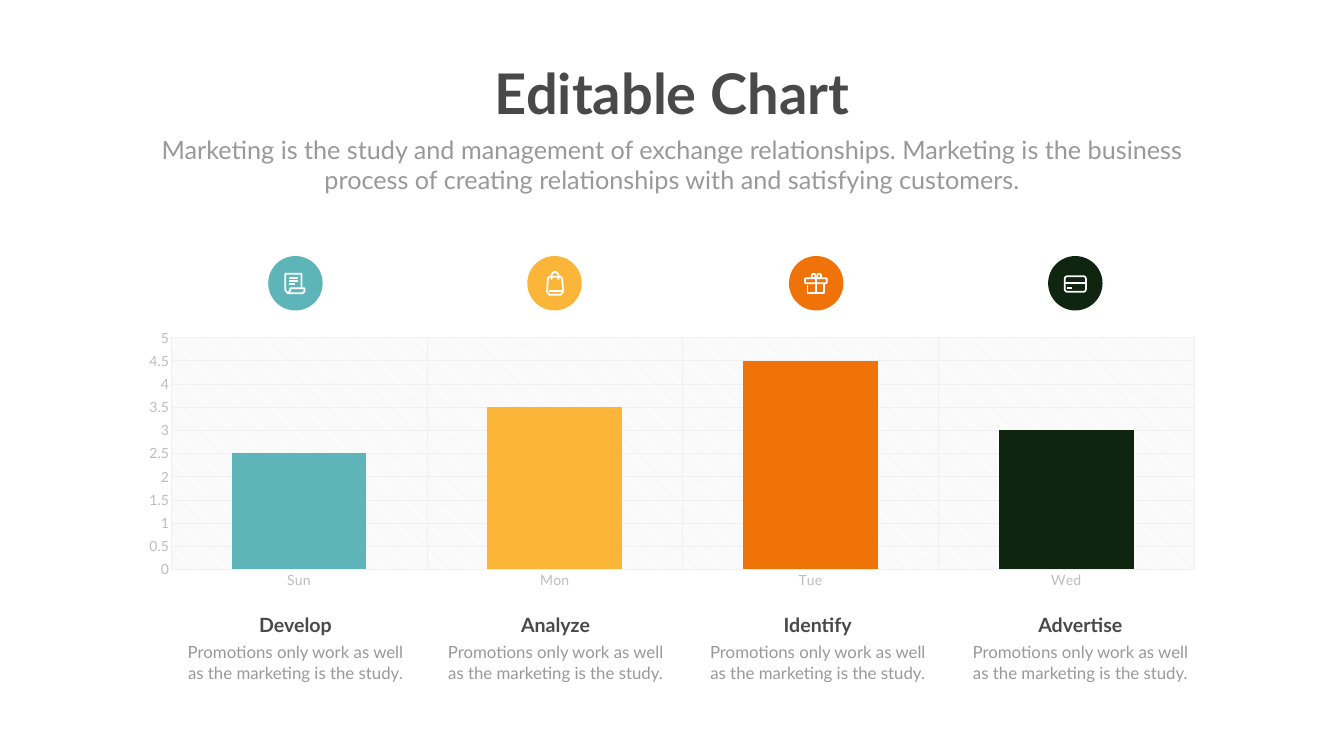
from lxml.etree import SubElement
from pptx import Presentation
from pptx.chart.data import CategoryChartData
from pptx.dml.color import RGBColor as Rgb
from pptx.enum.chart import XL_CHART_TYPE as Kind, XL_TICK_MARK as Tick
from pptx.enum.shapes import MSO_CONNECTOR as Conn, MSO_SHAPE as Form
from pptx.enum.text import MSO_ANCHOR as Anchor, MSO_AUTO_SIZE as Fit, PP_ALIGN as Align
from pptx.oxml import parse_xml
from pptx.oxml.ns import nsdecls, qn
from pptx.util import Inches, Pt

HUES = {
    "teal": "5EB5B9", "gold": "FBB538", "orange": "F07309", "dark": "10250F",
    "head": "494949", "body": "999999", "axis": "BDBDBD", "grid": "F0F0F0",
    "white": "FFFFFF",
}
BLURB = "Promotions only work as well as the marketing is the study."
COLUMNS = [
    ("Sun", 2.5, "teal", "Develop", 5.32, 3.55),
    ("Mon", 3.5, "gold", "Analyze", 10.46, 8.71),
    ("Tue", 4.5, "orange", "Identify", 15.65, 13.91),
    ("Wed", 3, "dark", "Advertise", 20.79, 19.12),
]
DISC = 1.08
DISC_TOP = 5.08


def hue(name):
    return Rgb.from_string(HUES[name])


class Deck:
    face = "Lato"
    stroke = 2.5

    def __init__(self, width, height):
        self.file = Presentation()
        self.file.slide_width = Inches(width)
        self.file.slide_height = Inches(height)
        self.slide = self.file.slides.add_slide(self.file.slide_layouts[0])
        self.shapes = self.slide.shapes
        fill = self.slide.background.fill
        fill.solid()
        fill.fore_color.rgb = hue("white")

    def font(self, font, size, color, bold=False):
        font.name = self.face
        font.size = Pt(size)
        font.bold = bold
        font.color.rgb = hue(color)

    def label(self, shape, text, size, color, bold=False, wrap=True):
        frame = shape.text_frame
        frame.word_wrap = wrap
        frame.auto_size = Fit.NONE
        frame.vertical_anchor = Anchor.TOP
        frame.margin_left = frame.margin_right = Inches(0.1)
        frame.margin_top = frame.margin_bottom = Inches(0.05)
        para = frame.paragraphs[0]
        para.alignment = Align.CENTER
        para.line_spacing = 1.0
        para.space_before = Pt(0)
        run = para.add_run()
        run.text = text
        self.font(run.font, size, color, bold)

    def holder(self, index, area, *style, **more):
        shape = self.slide.placeholders[index]
        shape.left, shape.top, shape.width, shape.height = map(Inches, area)
        self.label(shape, *style, **more)

    def text(self, area, *style, **more):
        self.label(self.shapes.add_textbox(*map(Inches, area)), *style, **more)

    def pen(self, line, color="white"):
        line.color.rgb = hue(color)
        line.width = Pt(self.stroke)

    def disc(self, x, y, size, color):
        shape = self.shapes.add_shape(Form.OVAL, *map(Inches, (x, y, size, size)))
        shape.shadow.inherit = False
        shape.fill.solid()
        shape.fill.fore_color.rgb = hue(color)
        shape.line.fill.background()

    def ring(self, form, x, y, wide, high):
        shape = self.shapes.add_shape(form, *map(Inches, (x, y, wide, high)))
        shape.shadow.inherit = False
        shape.fill.background()
        self.pen(shape.line)

    def line(self, x1, y1, x2, y2):
        link = self.shapes.add_connector(Conn.STRAIGHT, *map(Inches, (x1, y1, x2, y2)))
        self.pen(link.line)
        SubElement(link.element.spPr, qn("a:effectLst"))

    def trace(self, x, y, points, close=False):
        spots = [(Inches(x + a), Inches(y + b)) for a, b in points]
        pen = self.shapes.build_freeform(*spots[0])
        pen.add_line_segments(spots[1:], close=close)
        shape = pen.convert_to_shape()
        shape.shadow.inherit = False
        shape.fill.background()
        self.pen(shape.line)

    def axis(self, axis):
        axis.major_tick_mark = axis.minor_tick_mark = Tick.NONE
        self.font(axis.tick_labels.font, 20, "axis")
        axis.has_major_gridlines = True
        for line in (axis.format.line, axis.major_gridlines.format.line):
            line.color.rgb = hue("grid")
            line.width = Pt(0.75)

    def chart(self, area, columns):
        data = CategoryChartData()
        data.categories = [column[0] for column in columns]
        data.add_series("Series 1", [column[1] for column in columns])
        chart = self.shapes.add_chart(
            Kind.COLUMN_CLUSTERED, *map(Inches, area), data).chart
        chart.has_title = chart.has_legend = False
        self.font(chart.font, 20, "body")
        self.axis(chart.category_axis)
        side = chart.value_axis
        self.axis(side)
        side.format.line.fill.background()
        side.minimum_scale, side.maximum_scale, side.major_unit = 0, 5, 0.5
        plot = chart.plots[0]
        plot.vary_by_categories = False
        plot.gap_width, plot.overlap = 90, -43
        for index, column in enumerate(columns):
            fill = plot.series[0].points[index].format.fill
            fill.solid()
            fill.fore_color.rgb = hue(column[2])
        self.ground(chart)

    def ground(self, chart):
        names = nsdecls("c", "a")
        root = chart.element.find(qn("c:chart"))
        root.addnext(parse_xml(
            f'<c:spPr {names}><a:solidFill><a:srgbClr val="{HUES["white"]}"/>'
            '</a:solidFill><a:ln><a:noFill/></a:ln></c:spPr>'))
        area = root.find(qn("c:plotArea"))
        area.append(parse_xml(
            f'<c:spPr {names}><a:pattFill prst="ltDnDiag">'
            f'<a:fgClr><a:srgbClr val="{HUES["grid"]}"/></a:fgClr>'
            f'<a:bgClr><a:srgbClr val="{HUES["white"]}"/></a:bgClr>'
            '</a:pattFill></c:spPr>'))
        for old in area.findall(qn("c:layout")):
            area.remove(old)
        place = {"layoutTarget": "inner", "xMode": "edge", "yMode": "edge",
                 "x": 0.04, "y": 0.05, "w": 0.94, "h": 0.86}
        parts = "".join(f'<c:{key} val="{val}"/>' for key, val in place.items())
        area.insert(0, parse_xml(
            f'<c:layout {names}><c:manualLayout>{parts}</c:manualLayout></c:layout>'))

    def bill(self, x, y):
        self.trace(x, y, [
            (0.12, 0.1), (0.12, -0.19), (-0.2, -0.19), (-0.2, 0.14), (-0.15, 0.2),
            (0.14, 0.2), (0.18, 0.16), (0.18, 0.1), (-0.1, 0.1), (-0.1, 0.14),
            (-0.15, 0.2)])
        for drop, end in ((-0.1, 0.05), (-0.04, 0.05), (0.02, -0.01)):
            self.line(x - 0.13, y + drop, x + end, y + drop)

    def bag(self, x, y):
        self.trace(x, y, [
            (-0.1, -0.13), (0.12, -0.13), (0.15, -0.1), (0.17, 0.17), (0.12, 0.23),
            (-0.1, 0.23), (-0.15, 0.17), (-0.13, -0.1)], close=True)
        self.trace(x, y, [
            (-0.06, -0.07), (-0.06, -0.16), (-0.03, -0.21), (0.01, -0.23),
            (0.05, -0.21), (0.08, -0.16), (0.08, -0.07)])
        self.line(x - 0.11, y + 0.15, x + 0.15, y + 0.15)

    def gift(self, x, y):
        self.ring(Form.ROUNDED_RECTANGLE, x - 0.22, y - 0.1, 0.43, 0.1)
        for left in (-0.09, 0.02):
            self.ring(Form.OVAL, x + left, y - 0.19, 0.08, 0.09)
        self.trace(x, y, [(-0.17, 0.04), (-0.17, 0.2), (0.16, 0.2), (0.16, 0)])
        self.line(x, y - 0.1, x, y + 0.19)

    def card(self, x, y):
        self.ring(Form.ROUNDED_RECTANGLE, x - 0.21, y - 0.14, 0.42, 0.31)
        self.line(x - 0.2, y - 0.01, x + 0.2, y - 0.01)
        self.line(x - 0.16, y + 0.1, x - 0.07, y + 0.1)


def main():
    deck = Deck(26.66, 15)
    deck.holder(0, (9.65, 1.12, 7.37, 1.45), "Editable Chart", 80, "head",
                bold=True, wrap=False)
    deck.holder(1, (2.92, 2.61, 20.82, 1.31),
                "Marketing is the study and management of exchange relationships. "
                "Marketing is the business process of creating relationships with "
                "and satisfying customers.", 36, "body")
    deck.chart((2.53, 6.43, 21.59, 5.35), COLUMNS)
    icons = (deck.bill, deck.bag, deck.gift, deck.card)
    for icon, (_, _, color, name, disc, left) in zip(icons, COLUMNS):
        deck.disc(disc, DISC_TOP, DISC, color)
        icon(disc + DISC / 2, DISC_TOP + DISC / 2)
        deck.text((left, 12.69, 4.62, 0.91), BLURB, 24, "body")
        deck.text((left + 1.21, 12.12, 2.2, 0.57), name, 28, "head", bold=True)
    deck.file.save("out.pptx")


if __name__ == "__main__":
    main()
